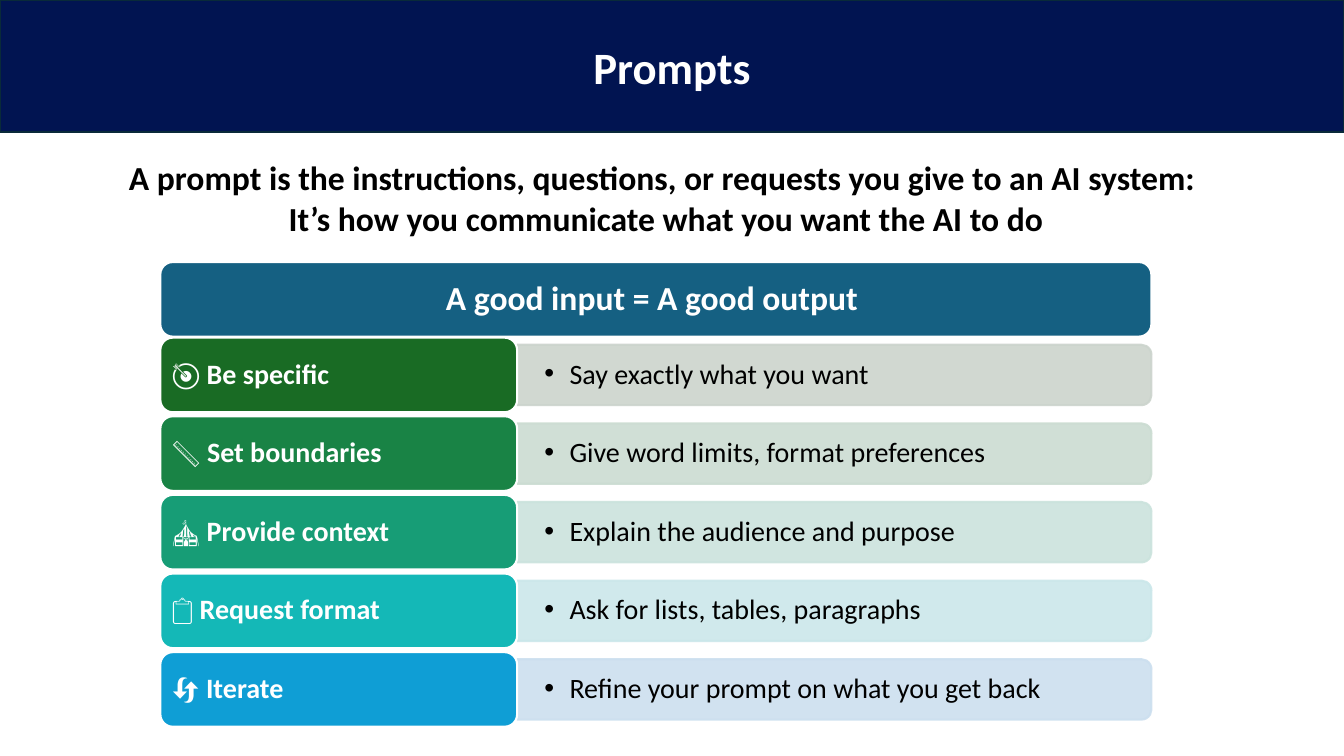
from lxml.etree import SubElement as Sub
from pptx import Presentation
from pptx.dml.color import RGBColor
from pptx.enum.shapes import MSO_SHAPE as Kind
from pptx.enum.text import MSO_ANCHOR as Anchor, MSO_AUTO_SIZE as Fit, PP_ALIGN as Align
from pptx.oxml.ns import qn
from pptx.util import Inches, Pt

WIDE, HIGH = 13.33, 7.5
FONT = "Calibri"
PITCH = 0.78  # height of one grid row
INTRO = [
    "A\u00a0prompt\u00a0is the instructions, questions, or requests you give to an AI system: ",
    "It’s how you communicate what you want the AI to do",
]
BANNER = "A good input = A good output\u00a0"
TIPS = [
    ("🎯 Be specific", "Say exactly what you want", "196B24", "CCD4CD"),
    ("📏 Set boundaries", "Give word limits, format preferences", "198345", "CBDCD2"),
    ("🎪 Provide context", "Explain the audience and purpose", "179D76", "CBE3DD"),
    ("📋 Request format", "Ask for lists, tables, paragraphs", "14B8B7", "CBE7EA"),
    ("🔄 Iterate", "Refine your prompt on what you get back", "0F9ED5", "CCDFEF"),
]


def paint(part, color, line=None, alpha=None):
    """Fill and outline a shape, both see-through if alpha is given."""
    part.fill.solid()
    part.fill.fore_color.rgb = RGBColor.from_string(color)
    part.line.color.rgb = RGBColor.from_string(line or color)
    part.line.width = Pt(1.5)
    if alpha:
        for tint in part._element.spPr.iter(qn("a:srgbClr")):
            Sub(tint, qn("a:alpha"), val=str(alpha * 1000))


def move(part, left, top, wide, high):
    part.left, part.top = Inches(left), Inches(top)
    part.width, part.height = Inches(wide), Inches(high)


def write(part, lines, size, color, bold=False, align=Align.LEFT,
          anchor=Anchor.MIDDLE, pad=(0.1, 0.05), space=1.0):
    """Put one run in each paragraph and return the paragraphs."""
    frame = part.text_frame
    frame.word_wrap, frame.auto_size = True, Fit.NONE
    frame.vertical_anchor = anchor
    frame.margin_left = frame.margin_right = Inches(pad[0])
    frame.margin_top = frame.margin_bottom = Inches(pad[1])
    for i, line in enumerate(lines):
        para = frame.add_paragraph() if i else frame.paragraphs[0]
        para.alignment, para.line_spacing = align, space
        para.space_before = Pt(0)
        run = para.add_run()
        run.text = line
        run.font.name, run.font.size, run.font.bold = FONT, Pt(size), bold
        run.font.color.rgb = RGBColor.from_string(color)
    return frame.paragraphs


def indent(para, left, mark=None):
    """Set a hanging indent with a bullet, or neither."""
    props = para._p.get_or_add_pPr()
    props.set("marL", str(Inches(left)))
    props.set("indent", str(-Inches(left)))
    if mark:
        Sub(props, qn("a:buFont"), typeface="Arial")
        Sub(props, qn("a:buChar"), char=mark)
    else:
        Sub(props, qn("a:buNone"))


def add_head(slide, high):
    """Title band across the top."""
    title = slide.shapes.title
    move(title, 0, 0, WIDE, high)
    paint(title, "011451", "092A39")
    write(title, ["Prompts"], 32, "FFFFFF", True, Align.CENTER)


def add_intro(slide, *box):
    body = slide.placeholders[1]
    move(body, *box)
    for para in write(body, INTRO, 24, "000000", True, Align.CENTER, Anchor.TOP):
        indent(para, 0)


def add_card(slide, box, text, size, color, align=Align.LEFT):
    """Rounded card with a white edge."""
    card = slide.shapes.add_shape(Kind.ROUNDED_RECTANGLE, *map(Inches, box))
    card.shadow.inherit = False
    paint(card, color, "FFFFFF")
    write(card, [text], size, "FFFFFF", True, align, pad=(0.08, 0.04), space=0.9)


def add_tip(slide, left, top, wide, high, tip):
    """Label card with a pale bar to its right."""
    label, hint, dark, pale = tip
    split = wide * 0.36
    long, thick = wide - split, high * 0.81
    start, mid = left + split, top + high / 2

    # Bar turned so that its round corners face right
    bar = slide.shapes.add_shape(
        Kind.ROUND_2_SAME_RECTANGLE, Inches(start + (long - thick) / 2),
        Inches(mid - long / 2), Inches(thick), Inches(long))
    bar.rotation = 90
    bar.shadow.inherit = False
    paint(bar, pale, alpha=90)

    note = slide.shapes.add_textbox(
        *map(Inches, (start, mid - thick / 2, long, thick)))
    para = write(note, [hint], 20, "000000", pad=(0.27, 0.1), space=0.9)[0]
    indent(para, 0.25, "•")

    add_card(slide, (left, top, split, high), label, 20, dark)


def add_grid(slide, left, top, wide, high):
    """Banner in the first row, one tip in each row below."""
    for row, tip in enumerate(TIPS, 1):
        shift = row * PITCH - 0.03
        add_tip(slide, left, top + shift, wide, high, tip)
    add_card(slide, (left, top, wide, high), BANNER, 24, "156082", Align.CENTER)


def main():
    deck = Presentation()
    deck.slide_width, deck.slide_height = Inches(WIDE), Inches(HIGH)
    slide = deck.slides.add_slide(deck.slide_layouts[1])
    add_head(slide, HIGH * 0.175)
    add_intro(slide, 0.44, 1.51, 12.33, 1.0)
    add_grid(slide, 1.59, 2.6, 9.83, 0.74)
    deck.save("out.pptx")


if __name__ == "__main__":
    main()
